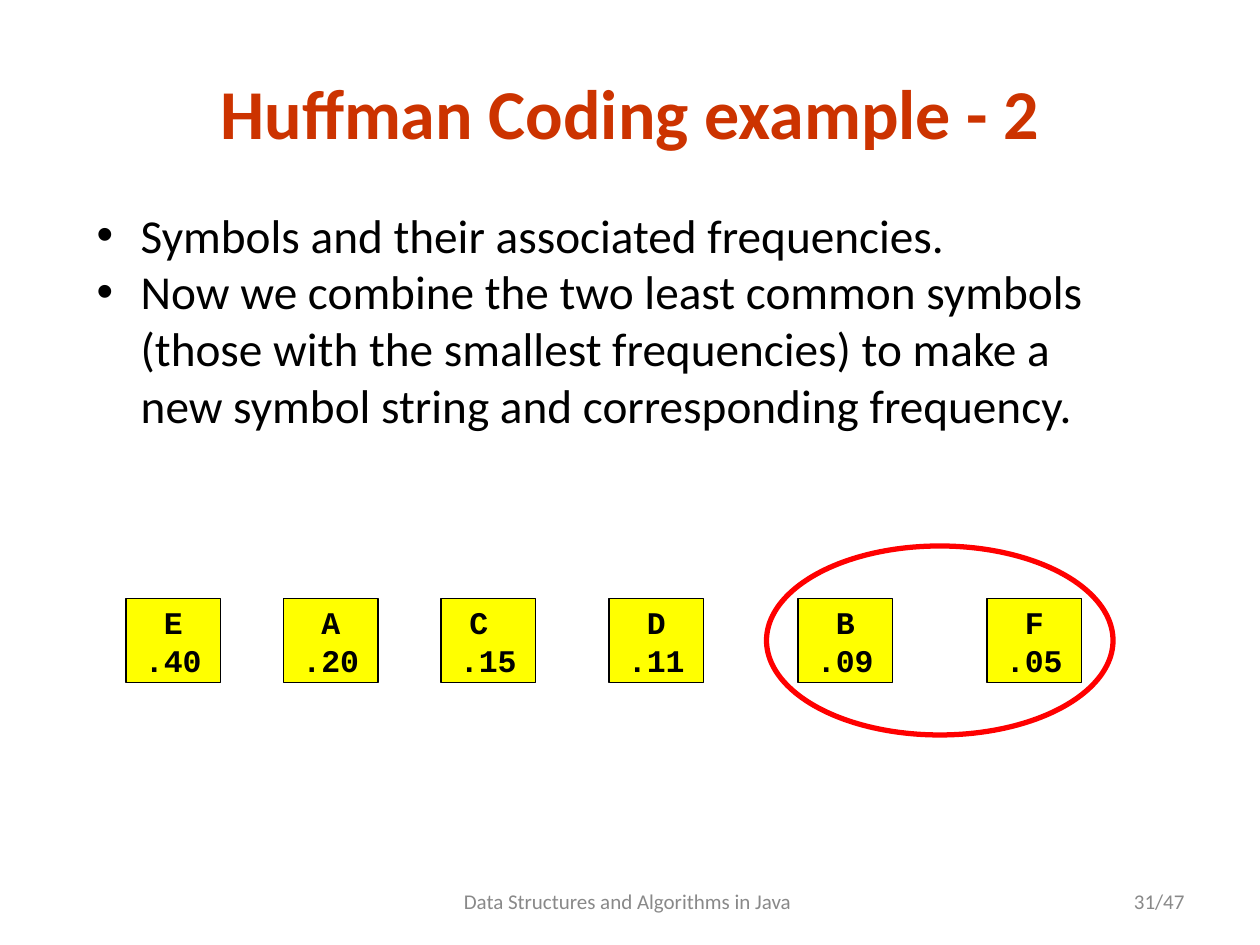
from dataclasses import dataclass

from pptx import Presentation
from pptx.dml.color import RGBColor
from pptx.enum.shapes import MSO_SHAPE
from pptx.enum.text import MSO_ANCHOR, MSO_AUTO_SIZE, PP_ALIGN
from pptx.util import Pt

RECTANGLE, OVAL = MSO_SHAPE.RECTANGLE, MSO_SHAPE.OVAL
LEFT, CENTER, RIGHT = PP_ALIGN.LEFT, PP_ALIGN.CENTER, PP_ALIGN.RIGHT
TOP, MIDDLE = MSO_ANCHOR.TOP, MSO_ANCHOR.MIDDLE
NO_AUTOFIT = MSO_AUTO_SIZE.NONE

EMU_PER_PX = 7620  # 120 px to the inch
PAGE_WIDTH, PAGE_HEIGHT = 1200, 900
BULLET_INDENT = 42


@dataclass(frozen=True)
class Theme:
    font: str = "Calibri"
    code_font: str = "Courier New"
    title: str = "CC3300"
    ink: str = "000000"
    muted: str = "898989"
    symbol_fill: str = "FFFF00"
    highlight: str = "FF0000"
    title_size: int = 40
    body_size: int = 27
    symbol_size: int = 18
    footer_size: int = 12
    symbol_line: int = 1
    highlight_line: int = 3


THEME = Theme()


def px(length):
    return length * EMU_PER_PX


def emu_box(box):
    return [px(length) for length in box]


def move(shape, box):
    shape.left, shape.top, shape.width, shape.height = emu_box(box)


def write(shape, lines, *, size, color=THEME.ink, font=THEME.font, bold=False,
          align=LEFT, anchor=MIDDLE, wrap=True, indent=0):
    """Fill a shape with one paragraph per line; indent sets a hanging bullet."""
    frame = shape.text_frame
    frame.auto_size = NO_AUTOFIT
    frame.word_wrap = wrap
    frame.vertical_anchor = anchor
    frame.text = "\n".join(lines)
    for para in frame.paragraphs:
        para.alignment = align
        para.space_before = Pt(0)
        if indent:
            properties = para._p.get_or_add_pPr()
            properties.set("marL", str(px(indent)))
            properties.set("indent", str(-px(indent)))
        for span in para.runs:
            span.font.name = font
            span.font.size = Pt(size)
            span.font.bold = bold
            span.font.color.rgb = RGBColor.from_string(color)


def add_outlined(page, kind, box, *, line, width, fill=None):
    shape = page.shapes.add_shape(kind, *emu_box(box))
    shape.shadow.inherit = False
    if fill:
        shape.fill.solid()
        shape.fill.fore_color.rgb = RGBColor.from_string(fill)
    else:
        shape.fill.background()
    shape.line.color.rgb = RGBColor.from_string(line)
    shape.line.width = Pt(width)
    return shape


def set_title(page, box, text):
    title = page.shapes.title
    move(title, box)
    write(title, [text], size=THEME.title_size, color=THEME.title,
          bold=True, align=CENTER)


def set_bullets(page, box, lines):
    body = page.placeholders[1]
    move(body, box)
    write(body, lines, size=THEME.body_size, anchor=TOP, indent=BULLET_INDENT)


def add_symbols(page, box, symbols):
    """Place a row of (offset, symbol, frequency) cells inside the box."""
    left, top, _, height = box
    cell_width = 90
    for offset, symbol, frequency in symbols:
        cell = add_outlined(page, RECTANGLE, (left + offset, top, cell_width, height),
                            line=THEME.ink, width=THEME.symbol_line,
                            fill=THEME.symbol_fill)
        write(cell, [symbol, frequency], size=THEME.symbol_size,
              font=THEME.code_font, bold=True, align=CENTER, wrap=False)


def add_footer(page, box, course, number):
    left, top, width, height = box
    number_width = 280
    parts = [
        (course, (left, top, 380, height), CENTER),
        (number, (left + width - number_width, top, number_width, height), RIGHT),
    ]
    for text, part_box, align in parts:
        label = page.shapes.add_textbox(*emu_box(part_box))
        write(label, [text], size=THEME.footer_size, color=THEME.muted, align=align)


def main():
    deck = Presentation()
    deck.slide_width, deck.slide_height = px(PAGE_WIDTH), px(PAGE_HEIGHT)
    page = deck.slides.add_slide(deck.slide_layouts[1])

    set_title(page, (90, 60, 1020, 92), "Huffman Coding example - 2")
    set_bullets(page, (80, 190, 1020, 239), [
        "Symbols and their associated frequencies.",
        "Now we combine the two least common symbols (those with the smallest "
        "frequencies) to make a new symbol string and corresponding frequency.",
    ])
    add_symbols(page, (120, 570, 910, 80), [
        (0, "E", ".40"),
        (150, "A", ".20"),
        (300, "C ", ".15"),
        (460, "D", ".11"),
        (640, "B", ".09"),
        (820, "F", ".05"),
    ])
    add_outlined(page, OVAL, (730, 520, 330, 180),
                 line=THEME.highlight, width=THEME.highlight_line)
    add_footer(page, (410, 834, 730, 48),
               "Data Structures and Algorithms in Java ", "31/47")
    deck.save("out.pptx")


if __name__ == "__main__":
    main()
